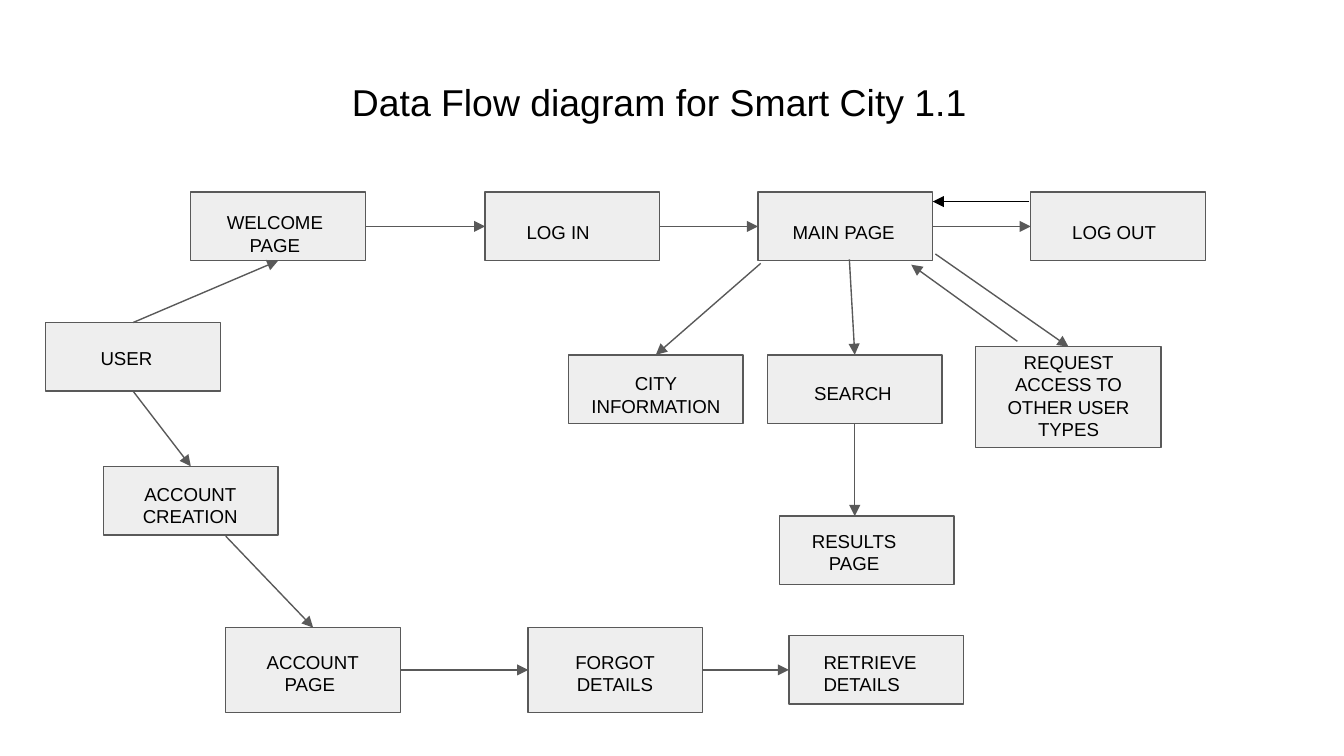
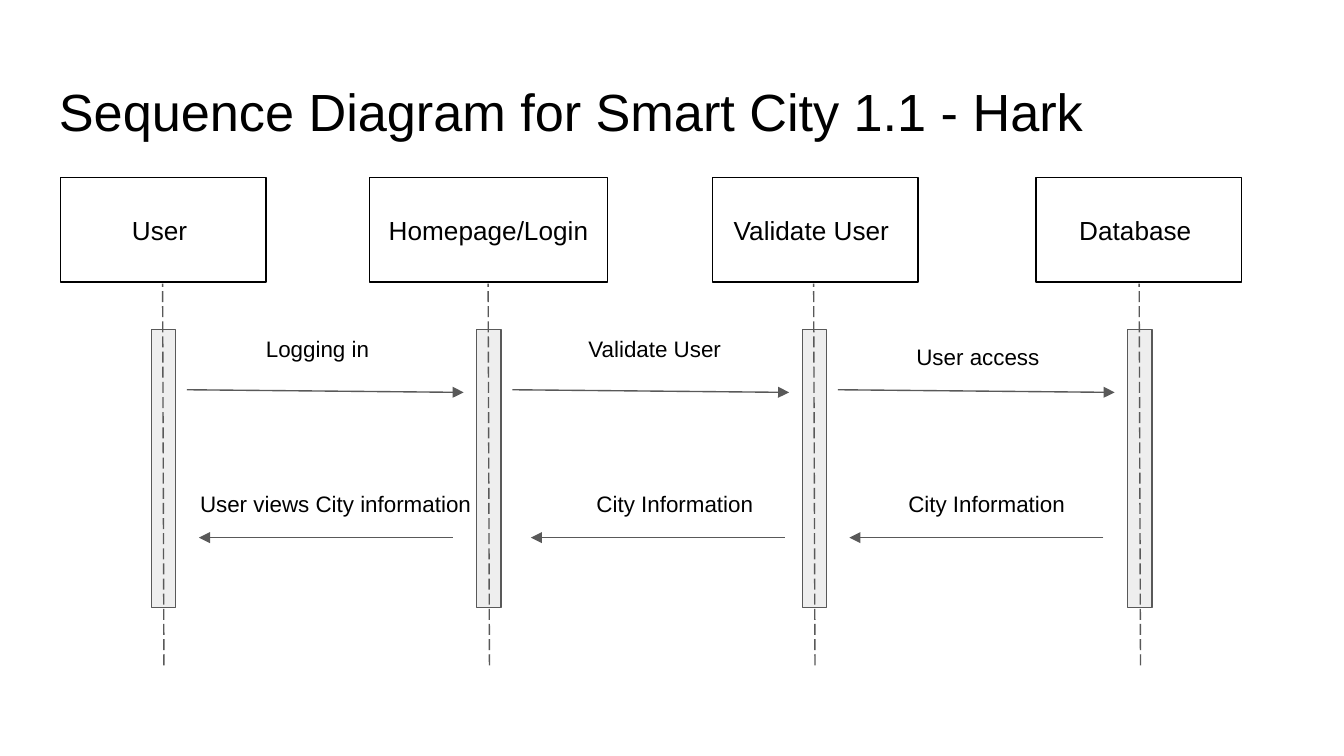
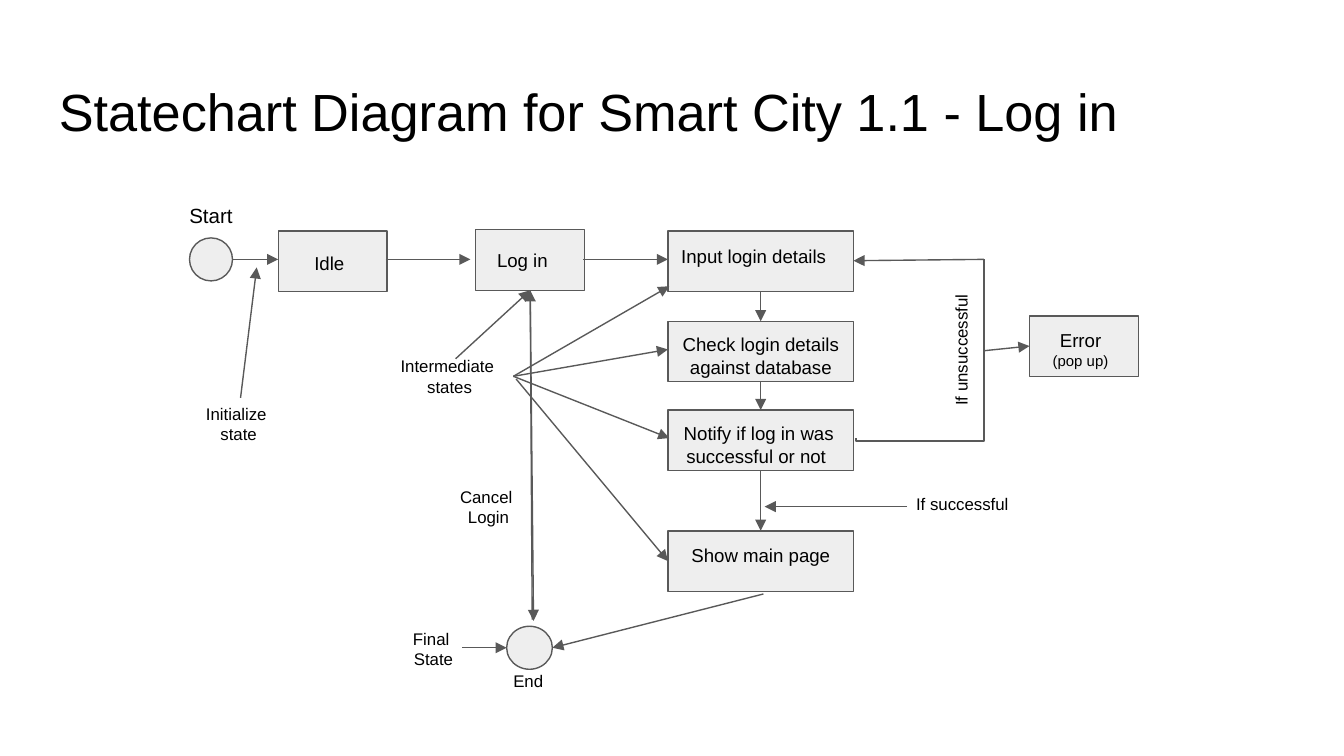
from pptx import Presentation
from pptx import util as u
from pptx.dml.color import RGBColor
from pptx.enum import dml, shapes, text
from pptx.oxml import parse_xml
from pptx.oxml.ns import nsdecls

HUE = {"ink": "000000", "edge": "595959", "fill": "EEEEEE"}
FONT = "Arial"
COLS = 100
LEFT, MID = text.PP_ALIGN.LEFT, text.PP_ALIGN.CENTER
RECT, OVAL = shapes.MSO_SHAPE.RECTANGLE, shapes.MSO_SHAPE.OVAL
FRAME = {"word_wrap": True, "auto_size": text.MSO_AUTO_SIZE.NONE,
         "margin_left": u.Inches(0.1), "margin_right": u.Inches(0.1),
         "margin_top": u.Inches(0.1), "margin_bottom": u.Inches(0.1)}

HEADS = [
    ("Data Flow diagram for Smart City 1.1", 25.2, 50, 20),
    ("Sequence Diagram for Smart City 1.1 - Hark", 3.4, 93.2, 28),
    ("Statechart Diagram for Smart City 1.1 - Log in", 3.4, 96.6, 28),
]

BOX = (13, 5.1)
TALL = (13, 6.3)
FLOW = {
    "user": (3.4, 24, *BOX),
    "hello": (14.2, 14.3, *BOX),
    "search": (57.1, 26.4, *BOX),
    "create": (7.7, 34.7, *BOX),
    "forgot": (39.3, 46.7, *TALL),
    "result": (58, 38.4, *BOX),
    "account": (16.8, 46.7, *TALL),
    "access": (72.6, 25.8, 13.8, 7.5),
    "city": (42.3, 26.4, *BOX),
    "main": (56.4, 14.3, *BOX),
    "login": (36.1, 14.3, *BOX),
    "logout": (76.7, 14.3, *BOX),
    "fetch": (58.7, 47.3, *BOX),
}
FLOW_TEXT = [
    ("USER", 6.5, 24.8, 7.5, LEFT),
    ("WELCOME PAGE", 15.6, 14.7, 9.7, MID),
    ("SEARCH", 59.6, 27.4, 9, LEFT),
    ("ACCOUNT CREATION", 9.3, 34.9, 9.7, MID),
    ("FORGOT DETAILS", 40.9, 47.4, 9.7, MID),
    ("RESULTS PAGE", 58.7, 38.4, 9.7, MID),
    ("ACCOUNT PAGE ", 18.4, 47.4, 9.7, MID),
    ("REQUEST ACCESS TO OTHER USER TYPES", 72.6, 25.1, 13.8, MID),
    ("CITY INFORMATION", 42.5, 26.7, 12.6, MID),
    ("MAIN PAGE", 58, 15.4, 9.7, LEFT),
    ("LOG IN", 38.2, 15.4, 9.7, LEFT),
    ("LOG OUT", 78.8, 15.4, 9.7, LEFT),
    ("RETRIEVE DETAILS", 60.3, 47.4, 9.7, LEFT),
]
FLOW_LINE = [
    ("user.b", "create.t"), ((16.8, 39.9), "account.t"),
    ("user.t", "hello.b"), ("account.r", "forgot.l"),
    ("hello.r", "login.l"), ("login.r", "main.l"),
    ((56.6, 19.6), "city.t"), ((63.2, 19.3), "search.t"),
    ("search.b", (63.6, 38.4)), ((69.6, 18.9), "access.t"),
    ("main.r", "logout.l"), ((75.7, 25.4), (67.8, 19.7)),
    ("forgot.r", "fetch.l"),
]

ROLES = [("User ", 4.5, 15.3), ("Homepage/Login", 27.5, 17.7),
         ("Validate User ", 53, 15.3), ("Database ", 77.1, 15.3)]
STEP = 24.22
CALLS = [("Logging in", 18.8, 23.9), ("Validate User", 42.8, 23.9),
         ("User access", 67.2, 24.5), ("User views City information", 13.9, 35.5),
         ("City Information", 43.4, 35.5), ("City Information", 66.6, 35.5)]
BACK = [33.7, 58.4, 82.1]

SMALL = (8.1, 4.5)
WIDE = (13.8, 4.5)
STATE = {
    "idle": (20.7, 17.2, *SMALL),
    "login": (35.4, 17.1, *SMALL),
    "error": (76.6, 23.5, *SMALL),
    "input": (49.7, 17.2, *WIDE),
    "check": (49.7, 23.9, *WIDE),
    "notify": (49.7, 30.5, *WIDE),
    "show": (49.7, 39.5, *WIDE),
}
DOTS = {"start": (14.1, 17.7, 3.2, 3.2), "end": (37.7, 46.6, 3.4, 3.2)}
STATE_TEXT = [
    ("Start", 13.1, 14.1, 6.5, 11, LEFT),
    ("Initialize \nstate", 13.7, 29, 8.1, 9, MID),
    ("Idle", 22.4, 17.7, 5.3, 10, LEFT),
    ("Log in", 36, 17.5, 6.5, 10, LEFT),
    ("Intermediate \nstates", 28.7, 25.5, 9.5, 9, MID),
    ("Cancel \nLogin", 33.1, 35.2, 6.5, 9, MID),
    ("Final \nState", 28.2, 45.8, 8.1, 9, MID),
    ("End", 36.9, 48.9, 4.8, 9, MID),
    ("Input login details", 49.7, 17.2, 13.8, 10, LEFT),
    ("Check login details against database", 49.7, 23.8, 13.8, 10, MID),
    ("Notify if log in was successful or not ", 49.8, 30.4, 13.3, 10, MID),
    ("Show main page", 49.7, 39.5, 13.8, 10, MID),
    ("If successful", 65.6, 35.7, 12, 9, MID),
]
HUB = (38.2, 28)
STATE_LINE = [
    ("start.r", (20.7, 19.3)), ((28.7, 19.3), (35, 19.3)),
    ((17.9, 29.6), (19.1, 19.9)), ((33.9, 26.7), "login.b"),
    ((39.6, 46.1), "login.b"), ("login.b", (39.7, 46.2)),
    ((34.4, 48.2), "end.l"), ((43.4, 19.3), (49.7, 19.3)),
    ("input.b", "check.t"), ("check.b", "notify.t"), ("notify.b", "show.t"),
    (HUB, (49.7, 26)), (HUB, (49.8, 32.6)), (HUB, (49.8, 21.3)),
    ((38.4, 28.2), "show.l"), ((56.8, 44.2), "end.r"),
    ((67.5, 37.7), (56.9, 37.7)), ((73.2, 26.1), "error.l"),
    ((73.2, 19.3), (63.5, 19.4)),
]

deck = Presentation()
deck.slide_width, deck.slide_height = u.Inches(10), u.Inches(5.625)
UNIT = deck.slide_width / COLS


def grid(*vals):
    return [round(v * UNIT) for v in vals]


def paint(obj, fmt):
    for key, val in fmt.items():
        setattr(obj, key, val)


def stroke(line, hue):
    line.fill.solid()
    line.fill.fore_color.rgb = RGBColor.from_string(HUE[hue])
    line.width = u.Pt(0.75)


def write(shape, words, size, align=LEFT, anchor=text.MSO_ANCHOR.TOP):
    frame = shape.text_frame
    paint(frame, {**FRAME, "vertical_anchor": anchor})
    for i, row in enumerate(words.split("\n")):
        para = frame.add_paragraph() if i else frame.paragraphs[0]
        para.alignment = align
        run = para.add_run()
        run.text = row
        paint(run.font, {"size": u.Pt(size), "name": FONT})
        run.font.color.rgb = RGBColor.from_string(HUE["ink"])
    return frame


def label(page, words, x, y, w, size, align=LEFT, h=3.1):
    box = page.shapes.add_textbox(*grid(x, y, w, h))
    write(box, words, size, align)
    return box


def block(page, spot, kind=RECT, fill="fill", edge="edge"):
    shape = page.shapes.add_shape(kind, *grid(*spot))
    shape.shadow.inherit = False
    if fill:
        shape.fill.solid()
        shape.fill.fore_color.rgb = RGBColor.from_string(HUE[fill])
    else:
        shape.fill.background()
    stroke(shape.line, edge)
    return shape


def point(nodes, end):
    if not isinstance(end, str):
        return end
    name, side = end.split(".")
    x, y, w, h = nodes[name]
    dx, dy = {"t": (0.5, 0), "b": (0.5, 1), "l": (0, 0.5), "r": (1, 0.5)}[side]
    return x + w * dx, y + h * dy


def link(page, start, stop, hue="edge", head=True, kind=shapes.MSO_CONNECTOR.STRAIGHT):
    line = page.shapes.add_connector(kind, *grid(*start, *stop))
    stroke(line.line, hue)
    if head:
        line.line._get_or_add_ln().append(parse_xml(
            f'<a:tailEnd {nsdecls("a")} type="triangle" w="med" len="med"/>'))
    line._element.spPr.append(parse_xml(f'<a:effectLst {nsdecls("a")}/>'))
    return line


def chart(page, nodes, lines, dots=()):
    for name, spot in nodes.items():
        block(page, spot, OVAL if name in dots else RECT)
    for start, stop in lines:
        link(page, point(nodes, start), point(nodes, stop))


pages = []
for words, x, w, size in HEADS:
    page = deck.slides.add_slide(deck.slide_layouts[6])
    label(page, words, x, 4.9, w, size, h=6.3)
    pages.append(page)
flow, seq, state = pages

chart(flow, FLOW, FLOW_LINE)
link(flow, (76.6, 15), (69.4, 15), "ink")
for words, x, y, w, align in FLOW_TEXT:
    label(flow, words, x, y, w, 10, align, 2.9)

for i, (words, x, w) in enumerate(ROLES):
    role = block(seq, (x, 13.2, w, 7.8), fill=None, edge="ink")
    write(role, words, 14, MID, text.MSO_ANCHOR.MIDDLE)
    bar = 11.25 + i * STEP
    block(seq, (bar, 24.5, 1.8, 20.7))
    life = link(seq, (bar + 0.95, 49.5), (bar + 0.85, 21.1), head=False)
    life.line.dash_style = dml.MSO_LINE.LONG_DASH
for i, x in enumerate(BACK):
    go = 13.9 + i * STEP
    link(seq, (go, 29), (go + 20.6, 29.2))
    link(seq, (x, 40), (x - 18.9, 40))
for words, x, y in CALLS:
    label(seq, words, x, y, 30 if len(words) > 20 else 15, 12)

chart(state, {**STATE, **DOTS}, STATE_LINE, DOTS)
for words, x, y, w, size, align in STATE_TEXT:
    label(state, words, x, y, w, size, align, 4.5)
fail = label(state, "If unsuccessful", 65.3, 24.5, 12, 9, MID)
fail.rotation = 270
error = label(state, "Error\n(pop up)", 76.9, 23.5, 7, 10, MID, 4.5)
error.text_frame.paragraphs[1].runs[0].font.size = u.Pt(8)

bend = link(state, (61.8, 21.2), (75.1, 30.7), head=False,
            kind=shapes.MSO_CONNECTOR.ELBOW)
form = bend._element.spPr
form.xfrm.set("rot", str(270 * 60000))
form.prstGeom.get_or_add_avLst().append(parse_xml(
    f'<a:gd {nsdecls("a")} name="adj1" fmla="val -1700"/>'))

deck.save("out.pptx")
